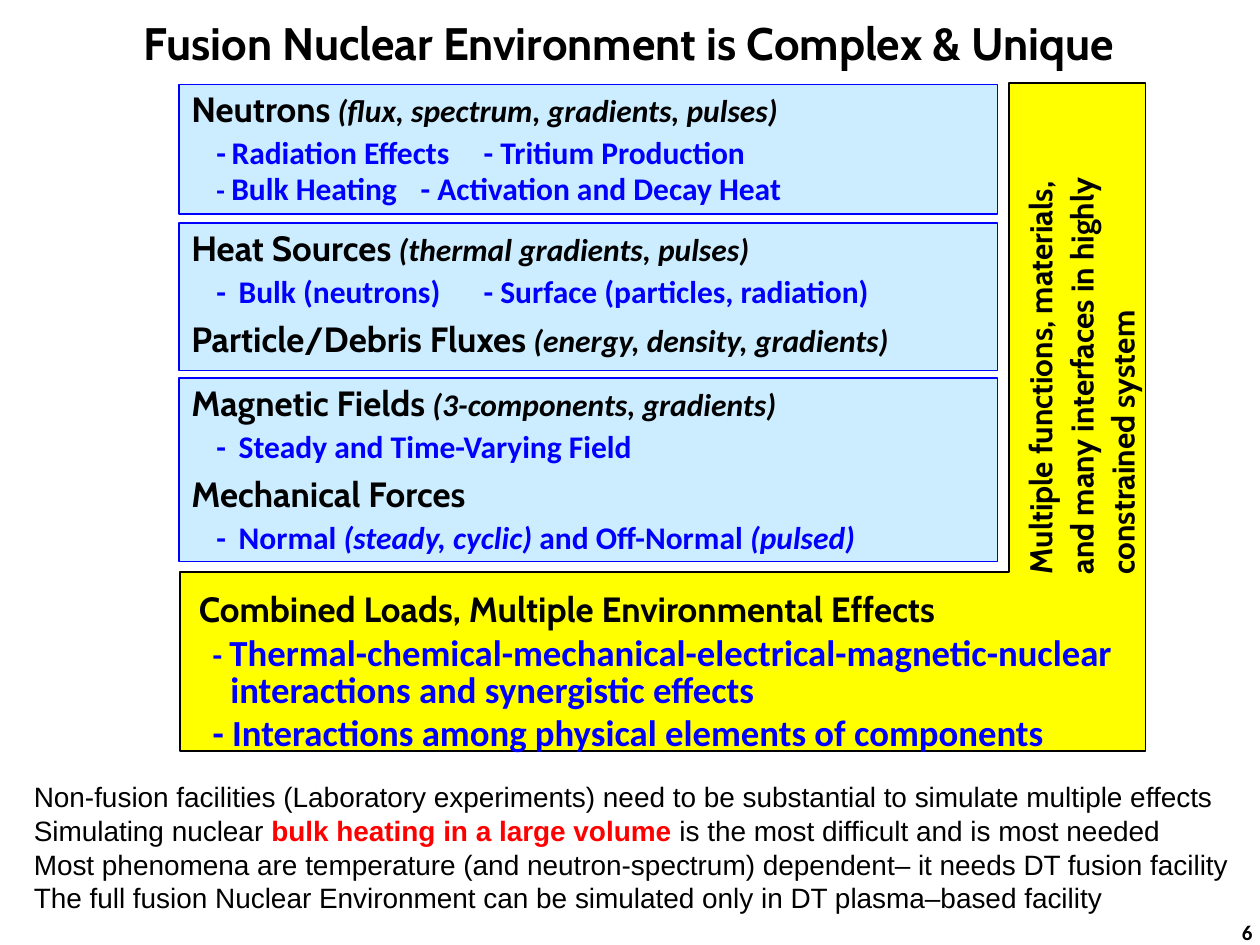
from lxml import etree
from pptx import Presentation
from pptx.dml.color import RGBColor
from pptx.enum.shapes import MSO_SHAPE as SHAPE
from pptx.enum.text import MSO_ANCHOR as ANCHOR, MSO_AUTO_SIZE as AUTO, PP_ALIGN as ALIGN
from pptx.oxml.ns import qn
from pptx.util import Emu, Pt

PX = 9144  # EMU per px, 100 px to the inch
BLACK = RGBColor(0, 0, 0)
BLUE = RGBColor(0, 0, 255)
RED = RGBColor(255, 0, 0)
YELLOW = RGBColor(255, 255, 0)
PALE_BLUE = RGBColor(0xCC, 0xEC, 0xFF)


def px(n):
    return Emu(n * PX)


def run(text, size=18, font="Calibri", color=BLACK, bold=True, italic=False):
    return text, size, font, color, bold, italic


def para(*runs, **layout):
    return runs, layout


def heading(title, note="", **layout):
    runs = [run(title, 20, "Cabin")]
    if note:
        runs += [run(" ", font="Cabin"), run(note, italic=True)]
    return para(*runs, **{"line": 0.95, "after": 3, **layout})


def item(*runs, tab):
    return para(*runs, line=0.95, left=32, hang=12, tabs=[tab], level=1)


def blue(text, size=18, italic=False):
    return run(text, size, color=BLUE, italic=italic)


class Deck:
    def __init__(self, width, height):
        self.prs = Presentation()
        self.prs.slide_width, self.prs.slide_height = px(width), px(height)
        self.s = self.prs.slides.add_slide(self.prs.slide_layouts[5])

    def style(self, sp, fill, line):
        sp.shadow.inherit = False
        sp.fill.solid()
        sp.fill.fore_color.rgb = fill
        sp.line.color.rgb = line
        sp.line.width = Pt(0.75)

    def fill_text(self, sp, paras, align=ALIGN.LEFT, anchor=ANCHOR.TOP):
        tf = sp.text_frame
        tf.word_wrap, tf.auto_size, tf.vertical_anchor = True, AUTO.NONE, anchor
        for i, (runs, layout) in enumerate(paras):
            p = tf.add_paragraph() if i else tf.paragraphs[0]
            p.alignment = align
            self.lay_out(p, **layout)
            for part in runs:
                self.add_run(p, *part)

    def lay_out(self, p, line=1.0, before=0, after=0, left=0, hang=0, tabs=(), level=0):
        p.level = level
        p.line_spacing = line
        p.space_before, p.space_after = Pt(before), Pt(after)
        props = p._p.get_or_add_pPr()
        props.set("marL", str(px(left)))
        props.set("indent", str(px(-hang)))
        if tabs:
            stops = etree.SubElement(props, qn("a:tabLst"))
            for pos in tabs:
                etree.SubElement(stops, qn("a:tab"), pos=str(px(pos)), algn="l")

    def add_run(self, p, text, size, font, color, bold, italic):
        for i, piece in enumerate(text.split("\n")):
            if i:
                p.add_line_break()
            r = p.add_run()
            r.text = piece
            f = r.font
            f.size, f.name, f.bold, f.italic = Pt(size), font, bold, italic
            f.color.rgb = color

    def title(self, x, y, w, h, text):
        sp = self.s.shapes.title
        sp.left, sp.top, sp.width, sp.height = map(px, (x, y, w, h))
        self.fill_text(sp, [para(run(text, 26, "Cabin"))], ALIGN.CENTER)

    def panel(self, x, y, w, h, paras):
        sp = self.s.shapes.add_shape(SHAPE.RECTANGLE, *map(px, (x, y, w, h)))
        self.style(sp, PALE_BLUE, BLUE)
        self.fill_text(sp, paras)

    def text(self, x, y, w, h, paras, rotation=0, **kw):
        sp = self.s.shapes.add_textbox(*map(px, (x, y, w, h)))
        sp.rotation = rotation
        self.fill_text(sp, paras, **kw)

    def outline(self, points, fill, line):
        fb = self.s.shapes.build_freeform(*points[0], scale=PX)
        fb.add_line_segments(points[1:], close=True)
        self.style(fb.convert_to_shape(), fill, line)


def main():
    deck = Deck(1000, 750)
    deck.title(19, 7, 961, 101, "Fusion Nuclear Environment is Complex & Unique")

    # L-shaped area behind the combined effects
    deck.outline([(143, 454), (801, 454), (801, 66), (909, 66), (909, 596), (143, 596)],
                 YELLOW, BLACK)

    # Panels of single loads
    deck.panel(142, 67, 650, 103, [
        heading("Neutrons", "(flux, spectrum, gradients, pulses)"),
        item(blue("-\tRadiation Effects \t- Tritium Production"), tab=262),
        item(blue("- ", 16), blue("Bulk Heating\t- Activation and Decay Heat"), tab=262),
    ])
    deck.panel(142, 177, 650, 117, [
        heading("Heat Sources", "(thermal gradients, pulses)"),
        item(blue("-\t Bulk (neutrons)\t- Surface (particles, radiation)"), tab=262),
        heading("Particle/Debris Fluxes", "(energy, density, gradients)", before=6),
    ])
    deck.panel(142, 300, 650, 146, [
        heading("Magnetic Fields", "(3-components, gradients)"),
        item(blue("-\t Steady and Time-Varying Field"), tab=319),
        heading("Mechanical Forces", before=6),
        item(blue("-\t Normal "), blue("(steady, cyclic) ", italic=True),
             blue("and Off-Normal "), blue("(pulsed)", italic=True), tab=319),
    ])

    # Combined loads
    effects = {"line": 0.85, "after": 3, "left": 25, "hang": 14}
    deck.text(148, 464, 753, 212, [
        heading("Combined Loads, Multiple Environmental Effects", left=19, hang=19),
        para(blue("- "), blue("Thermal-chemical-mechanical-electrical-magnetic-nuclear\n"
                              "interactions and synergistic effects", 21), **effects),
        para(blue("- Interactions among physical elements of components", 21), **effects),
    ])

    # Upright side text
    side = ("Multiple functions, materials,", "and many interfaces in highly", "constrained system")
    deck.text(668, 209, 396, 117, [
        para(run(line, font="Cabin"), line=0.95, after=3, left=19, hang=19) for line in side
    ], rotation=270)

    # Conclusions
    def plain(text):
        return run(text, 16, "Arial", bold=False)

    deck.text(17, 614, 983, 118, [
        para(plain("Non-fusion facilities (Laboratory experiments) need to be substantial "
                   "to simulate multiple effects")),
        para(plain("Simulating nuclear "),
             run("bulk heating in a large volume ", 16, "Arial", RED),
             plain("is the most difficult and is most needed")),
        para(plain("Most phenomena are temperature (and neutron-spectrum) dependent– "
                   "it needs DT fusion facility")),
        para(plain("The full fusion Nuclear Environment can be simulated only in "
                   "DT plasma–based facility")),
    ])

    # Slide number
    deck.text(771, 720, 233, 40, [para(run("6", 12))], align=ALIGN.RIGHT, anchor=ANCHOR.MIDDLE)

    deck.prs.save("out.pptx")


if __name__ == "__main__":
    main()
